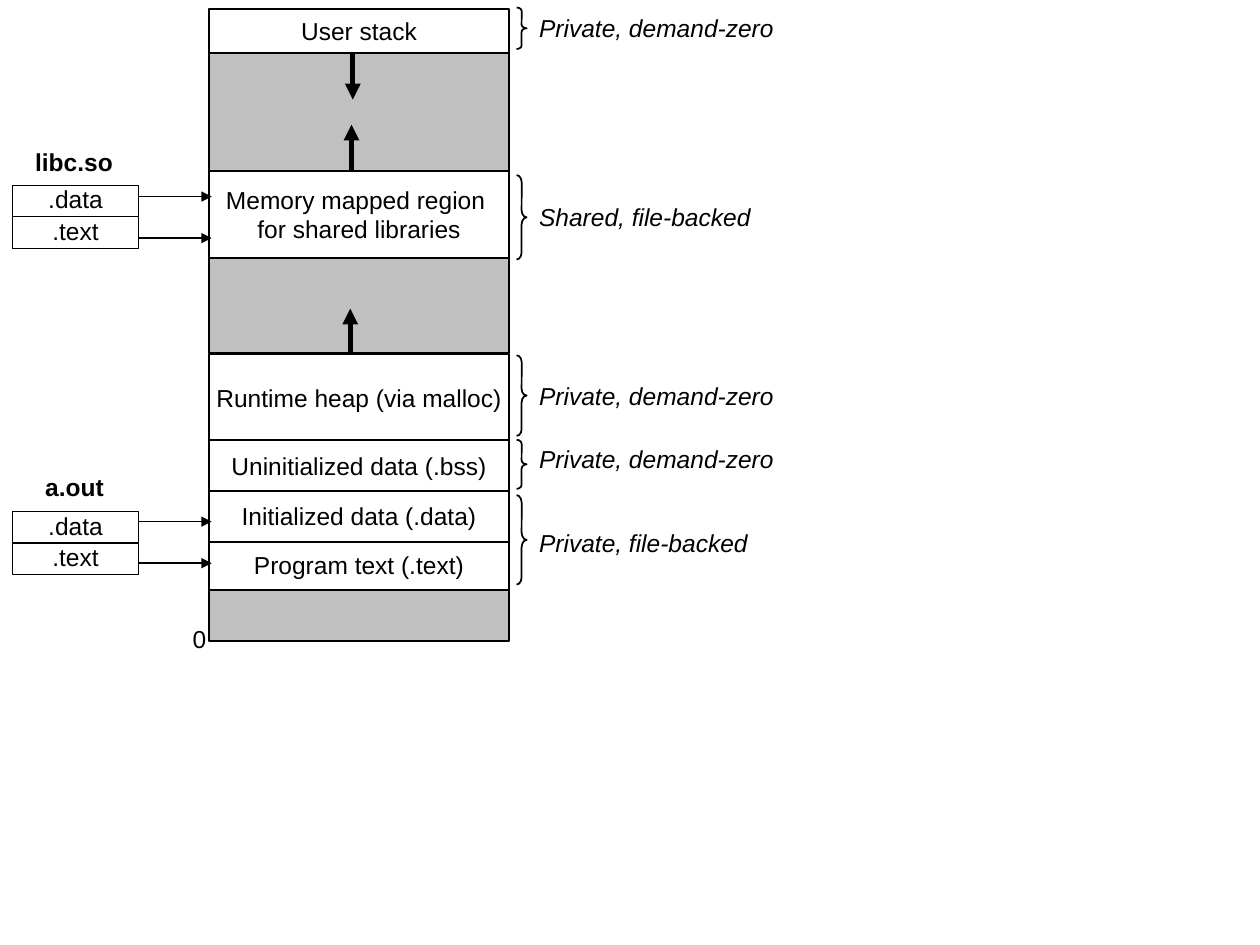
from dataclasses import dataclass

from lxml.etree import SubElement
from pptx import Presentation
from pptx.dml.color import RGBColor
from pptx.enum.shapes import MSO_CONNECTOR as Conn, MSO_SHAPE as Shape
from pptx.enum.text import MSO_ANCHOR as Anchor, PP_ALIGN as Align
from pptx.oxml.ns import qn
from pptx.util import Inches, Pt

BLACK, WHITE, GRAY = "000000", "FFFFFF", "C0C0C0"
STACK_X, STACK_W = 1.66, 2.38
BRACE_X, BRACE_W = 4.1, 0.08
MAPPING_W = 2.12
FILE_X, FILE_W, SECTION_H = 0.1, 1, 0.25


@dataclass
class Region:
    y: float
    h: float
    text: str = ""
    fill: str = WHITE


@dataclass
class Mapping:
    y: float
    h: float
    text: str
    text_y: float


@dataclass
class ObjectFile:
    name: str
    x: float
    w: float
    name_y: float
    y: float
    arrow_ys: tuple


REGIONS = [
    Region(1.35, 0.7, "Memory mapped region \nfor shared libraries"),
    Region(2.05, 0.75, fill=GRAY),
    Region(2.81, 0.7, "Runtime heap (via malloc)"),
    Region(0.42, 0.94, fill=GRAY),
    Region(4.28, 0.41, "Program text (.text)"),
    Region(3.89, 0.41, "Initialized data (.data)"),
    Region(3.49, 0.41, "Uninitialized data (.bss)"),
    Region(0.07, 0.35, "User stack"),
    Region(4.68, 0.41, fill=GRAY),
]
MAPPINGS = [
    Mapping(0.06, 0.33, "Private, demand-zero", 0.05),
    Mapping(1.39, 0.67, "Shared, file-backed", 1.55),
    Mapping(2.82, 0.64, "Private, demand-zero", 2.97),
    Mapping(3.49, 0.39, "Private, demand-zero", 3.47),
    Mapping(3.93, 0.71, "Private, file-backed", 4.14),
]
FILES = [
    ObjectFile("libc.so", 0.18, 0.88, 1.14, 1.47, (1.56, 1.89)),
    ObjectFile("a.out", 0.26, 0.72, 3.72, 4.06, (4.14, 4.47)),
]
GROWTH = [(2.78, 2.82, 2.45), (2.79, 1.36, 0.99), (2.8, 0.42, 0.79)]


def color(value: str) -> RGBColor:
    return RGBColor.from_string(value)


def write(sp, text: str, align=Align.LEFT, anchor=Anchor.MIDDLE, spacing=None,
          wrap: bool = False, **font) -> None:
    tf = sp.text_frame
    tf.word_wrap = wrap
    tf.vertical_anchor = anchor
    for i, line in enumerate(text.split("\n")):
        p = tf.add_paragraph() if i else tf.paragraphs[0]
        p.alignment = align
        p.line_spacing = spacing
        r = p.add_run()
        r.text = line
        for key, value in {"name": "Arial", "size": Pt(14), **font}.items():
            setattr(r.font, key, value)
        r.font.color.rgb = color(BLACK)


def add_box(s, x: float, y: float, w: float, h: float, text: str, fill: str = WHITE,
            line: float = 1, spacing=None) -> None:
    sp = s.shapes.add_shape(Shape.RECTANGLE, Inches(x), Inches(y), Inches(w), Inches(h))
    sp.shadow.inherit = False
    sp.fill.solid()
    sp.fill.fore_color.rgb = color(fill)
    sp.line.color.rgb = color(BLACK)
    sp.line.width = Pt(line)
    if text:
        write(sp, text, Align.CENTER, spacing=spacing)


def add_label(s, x: float, y: float, w: float, h: float, text: str, **style) -> None:
    sp = s.shapes.add_textbox(Inches(x), Inches(y), Inches(w), Inches(h))
    write(sp, text, wrap=True, **style)


def add_arrow(s, x1: float, y1: float, x2: float, y2: float, width: float) -> None:
    cx = s.shapes.add_connector(Conn.STRAIGHT, Inches(x1), Inches(y1), Inches(x2), Inches(y2))
    cx.line.color.rgb = color(BLACK)
    cx.line.width = Pt(width)
    SubElement(cx.line._get_or_add_ln(), qn("a:tailEnd"), type="triangle")
    SubElement(cx._element.spPr, qn("a:effectLst"))


def add_mapping(s, m: Mapping) -> None:
    sp = s.shapes.add_shape(Shape.RIGHT_BRACE, Inches(BRACE_X), Inches(m.y), Inches(BRACE_W), Inches(m.h))
    sp.shadow.inherit = False
    sp.adjustments[0] = m.h / 12 / BRACE_W
    sp.fill.background()
    sp.line.color.rgb = color(BLACK)
    sp.line.width = Pt(1)
    add_label(s, BRACE_X + BRACE_W, m.text_y, MAPPING_W, 0.34, m.text, italic=True)


def add_file(s, f: ObjectFile) -> None:
    add_label(s, f.x, f.name_y, f.w, 0.31, f.name, anchor=Anchor.TOP, spacing=0.9, bold=True)
    for i, section in enumerate((".data", ".text")):
        add_box(s, FILE_X, f.y + i * SECTION_H, FILE_W, SECTION_H, section, line=0.75, spacing=0.9)
    for y in f.arrow_ys:
        add_arrow(s, FILE_X + FILE_W, y, 1.68, y, 1)


def main() -> None:
    prs = Presentation()
    prs.slide_width, prs.slide_height = Inches(10), Inches(7.5)
    s = prs.slides.add_slide(prs.slide_layouts[6])
    for region in REGIONS:
        add_box(s, STACK_X, region.y, STACK_W, region.h, region.text, region.fill)
    for x, start, end in GROWTH:
        add_arrow(s, x, start, x, end, 3)
    add_label(s, 1.43, 4.9, 0.35, 0.34, "0", anchor=Anchor.TOP)
    for mapping in MAPPINGS:
        add_mapping(s, mapping)
    for file in FILES:
        add_file(s, file)
    prs.save("out.pptx")


if __name__ == "__main__":
    main()
